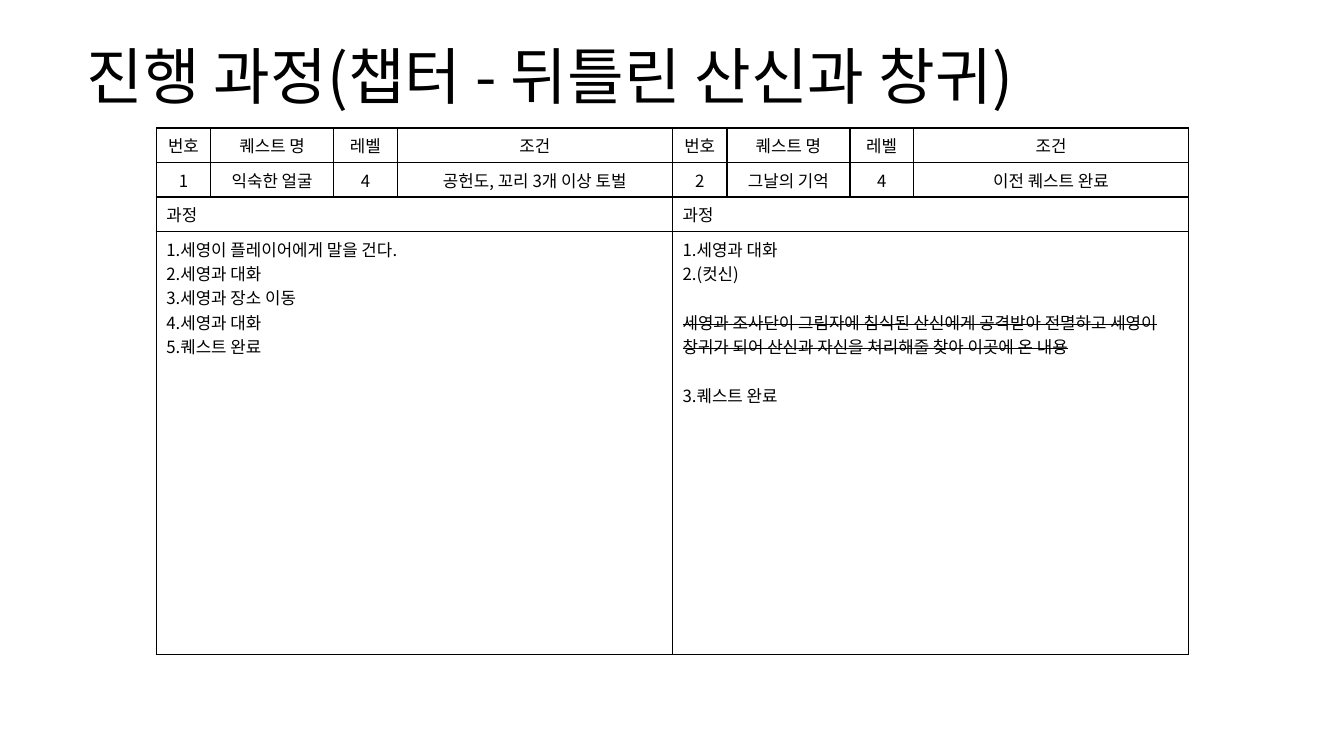
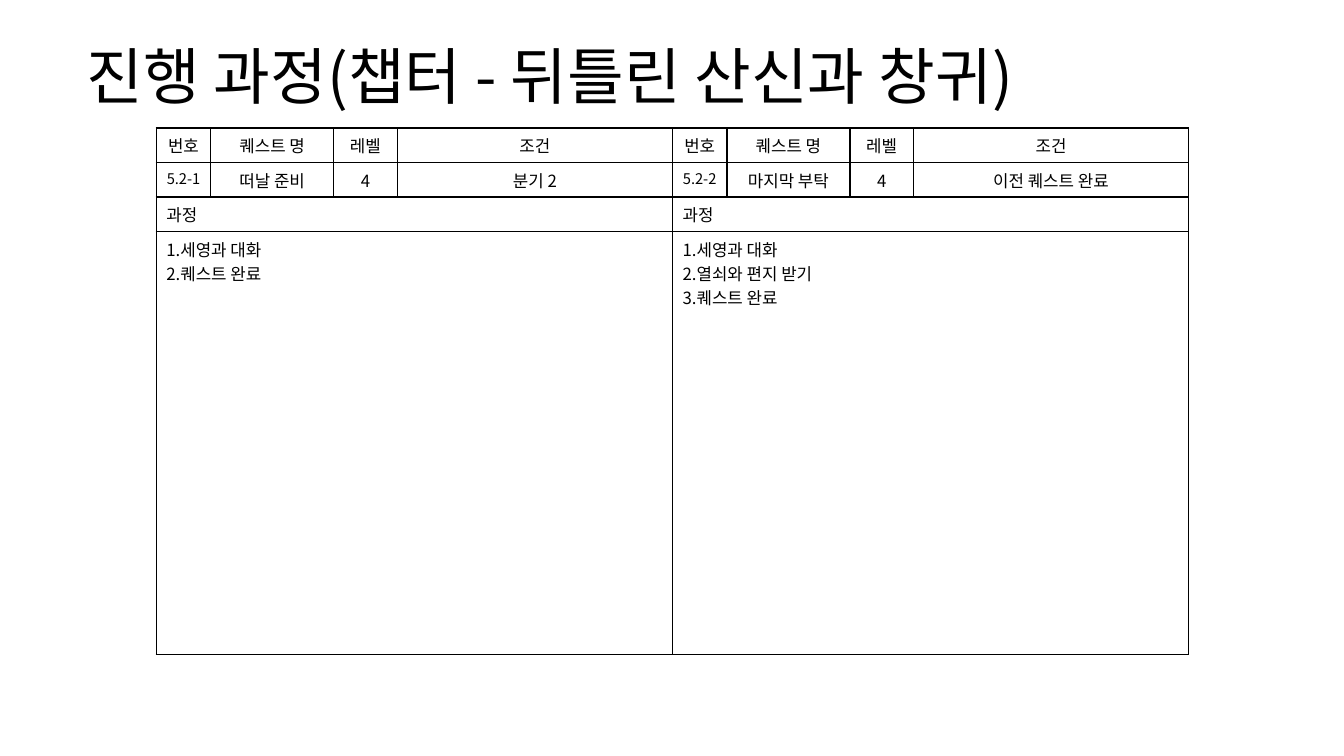
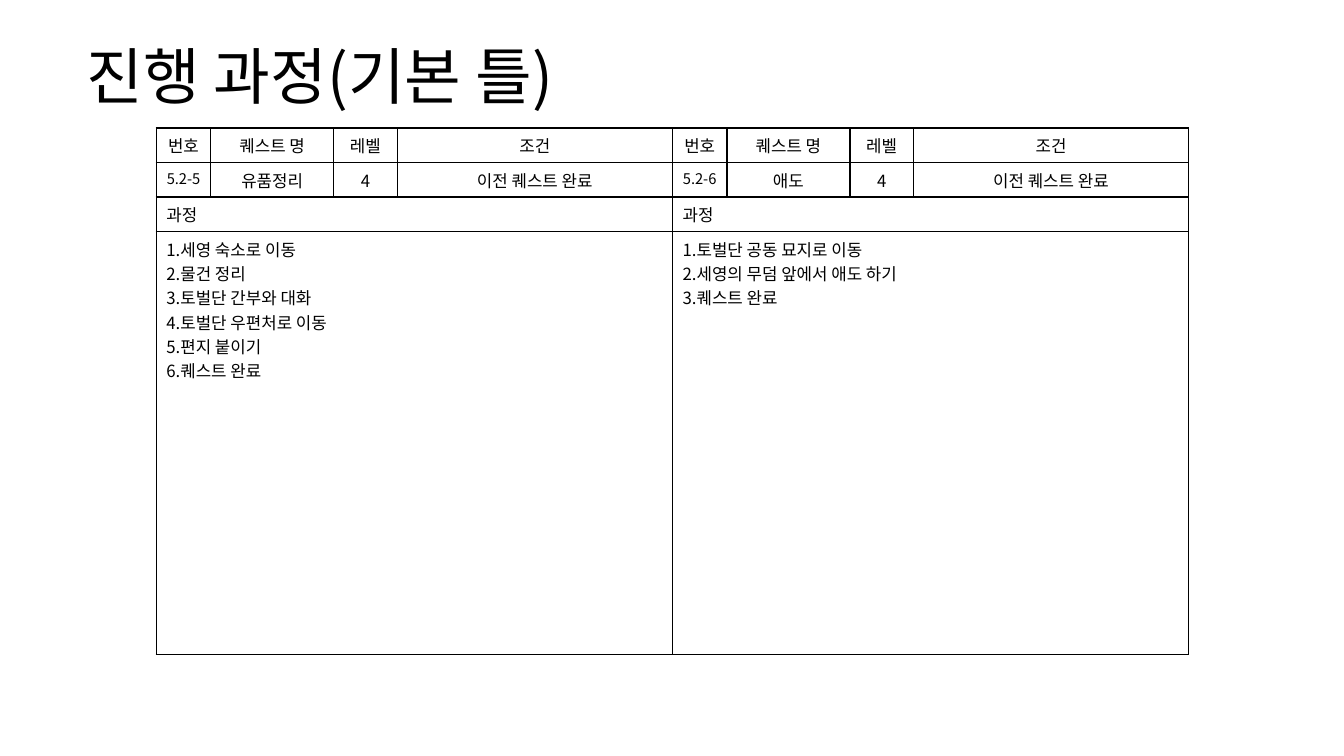
from collections import namedtuple

from lxml import etree
from pptx import Presentation
from pptx.dml.color import RGBColor
from pptx.enum.text import MSO_ANCHOR, MSO_AUTO_SIZE, PP_ALIGN
from pptx.oxml.ns import qn
from pptx.util import Inches, Pt

LEFT, CENTER = PP_ALIGN.LEFT, PP_ALIGN.CENTER
MIDDLE, NO_AUTOFIT = MSO_ANCHOR.MIDDLE, MSO_AUTO_SIZE.NONE
FONT = "Noto Sans CJK KR"
INK, PAPER = "000000", "FFFFFF"
TITLE_ONLY = 5
TITLE_BOX = (0.76, 0.32, 11.81, 0.94)
TABLES_LEFT, TABLES_TOP = 1.55, 1.27
COLUMNS = (0.54, 1.22, 0.63, 2.73)
ROWS = (0.34, 0.34, 0.34, 4.2)
HEADINGS = ("번호", "퀘스트 명", "레벨", "조건")
BODY_SIZE, LONG_NUMBER_SIZE = 12, 10.5
NOTE_GAP = 17.4

Quest = namedtuple("Quest", "number name level condition steps")
Note = namedtuple("Note", "text")

CHAPTER = "진행 과정(챕터 - 뒤틀린 산신과 창귀)"
PREVIOUS = "이전 퀘스트 완료"
SLIDES = [
    (CHAPTER, [
        Quest("1", "익숙한 얼굴", "4", "공헌도, 꼬리 3개 이상 토벌", [
            "1.세영이 플레이어에게 말을 건다.", "2.세영과 대화",
            "3.세영과 장소 이동", "4.세영과 대화", "5.퀘스트 완료"]),
        Quest("2", "그날의 기억", "4", PREVIOUS, [
            "1.세영과 대화", "2.(컷신)",
            Note("세영과 조사단이 그림자에 침식된 산신에게 공격받아 전멸하고 "
                 "세영이 창귀가 되어 산신과 자신을 처리해줄 찾아 이곳에 온 내용"),
            "3.퀘스트 완료"]),
    ]),
    (CHAPTER, [
        Quest("5.2-1", "떠날 준비", "4", "분기 2", [
            "1.세영과 대화", "2.퀘스트 완료"]),
        Quest("5.2-2", "마지막 부탁", "4", PREVIOUS, [
            "1.세영과 대화", "2.열쇠와 편지 받기", "3.퀘스트 완료"]),
    ]),
    ("진행 과정(기본 틀)", [
        Quest("5.2-5", "유품정리", "4", PREVIOUS, [
            "1.세영 숙소로 이동", "2.물건 정리", "3.토벌단 간부와 대화",
            "4.토벌단 우편처로 이동", "5.편지 붙이기", "6.퀘스트 완료"]),
        Quest("5.2-6", "애도", "4", PREVIOUS, [
            "1.토벌단 공동 묘지로 이동", "2.세영의 무덤 앞에서 애도 하기",
            "3.퀘스트 완료"]),
    ]),
]


def color(value):
    return RGBColor.from_string(value)


def write(p, text, size, align=LEFT):
    r = p.add_run()
    r.text = text
    p.alignment = align
    p.font.size = Pt(size)
    p.font.color.rgb = color(INK)
    p.font.name = FONT
    defaults = p._p.pPr.find(qn("a:defRPr"))
    etree.SubElement(defaults, qn("a:ea"), typeface=FONT)
    return r


def write_note(p, text):
    r = write(p, text, BODY_SIZE)
    r._r.get_or_add_rPr().set("strike", "sngStrike")
    p.space_before = p.space_after = Pt(NOTE_GAP)


def style_cell(cell):
    tcPr = cell._tc.get_or_add_tcPr()
    for side in ("lnL", "lnR", "lnT", "lnB"):
        ln = etree.SubElement(tcPr, qn(f"a:{side}"), w=str(Pt(1)))
        fill = etree.SubElement(ln, qn("a:solidFill"))
        etree.SubElement(fill, qn("a:srgbClr"), val=INK)
    cell.fill.solid()
    cell.fill.fore_color.rgb = color(PAPER)


def add_title(s, text, box):
    title = s.shapes.title
    title.left, title.top, title.width, title.height = map(Inches, box)
    tf = title.text_frame
    tf.auto_size = NO_AUTOFIT
    tf.vertical_anchor = MIDDLE
    p = tf.paragraphs[0]
    p.line_spacing = 0.9
    write(p, text, 44)


def add_steps(tf, steps):
    for i, step in enumerate(steps):
        p = tf.add_paragraph() if i else tf.paragraphs[0]
        if isinstance(step, Note):
            write_note(p, step.text)
        else:
            write(p, step, BODY_SIZE)


def add_quest(s, quest, left, top):
    frame = s.shapes.add_table(
        len(ROWS), len(COLUMNS), Inches(left), Inches(top),
        Inches(sum(COLUMNS)), Inches(sum(ROWS)))
    table = frame.table
    table.first_row = table.horz_banding = False
    for column, width in zip(table.columns, COLUMNS):
        column.width = Inches(width)
    for row, height in zip(table.rows, ROWS):
        row.height = Inches(height)
    for cell in table.iter_cells():
        style_cell(cell)
    for i, texts in enumerate((HEADINGS, quest[:4])):
        for j, text in enumerate(texts):
            long_number = i == 1 and j == 0 and len(text) > 1
            size = LONG_NUMBER_SIZE if long_number else BODY_SIZE
            p = table.cell(i, j).text_frame.paragraphs[0]
            write(p, text, size, CENTER)
    for i, lines in ((2, ["과정"]), (3, quest.steps)):
        cell = table.cell(i, 0)
        cell.merge(table.cell(i, len(COLUMNS) - 1))
        add_steps(cell.text_frame, lines)


def add_quest_slide(prs, title, quests):
    s = prs.slides.add_slide(prs.slide_layouts[TITLE_ONLY])
    add_title(s, title, TITLE_BOX)
    for i, quest in enumerate(quests):
        add_quest(s, quest, TABLES_LEFT + i * sum(COLUMNS), TABLES_TOP)


prs = Presentation()
prs.slide_width, prs.slide_height = Inches(13.33), Inches(7.5)
for title, quests in SLIDES:
    add_quest_slide(prs, title, quests)
prs.save("out.pptx")
